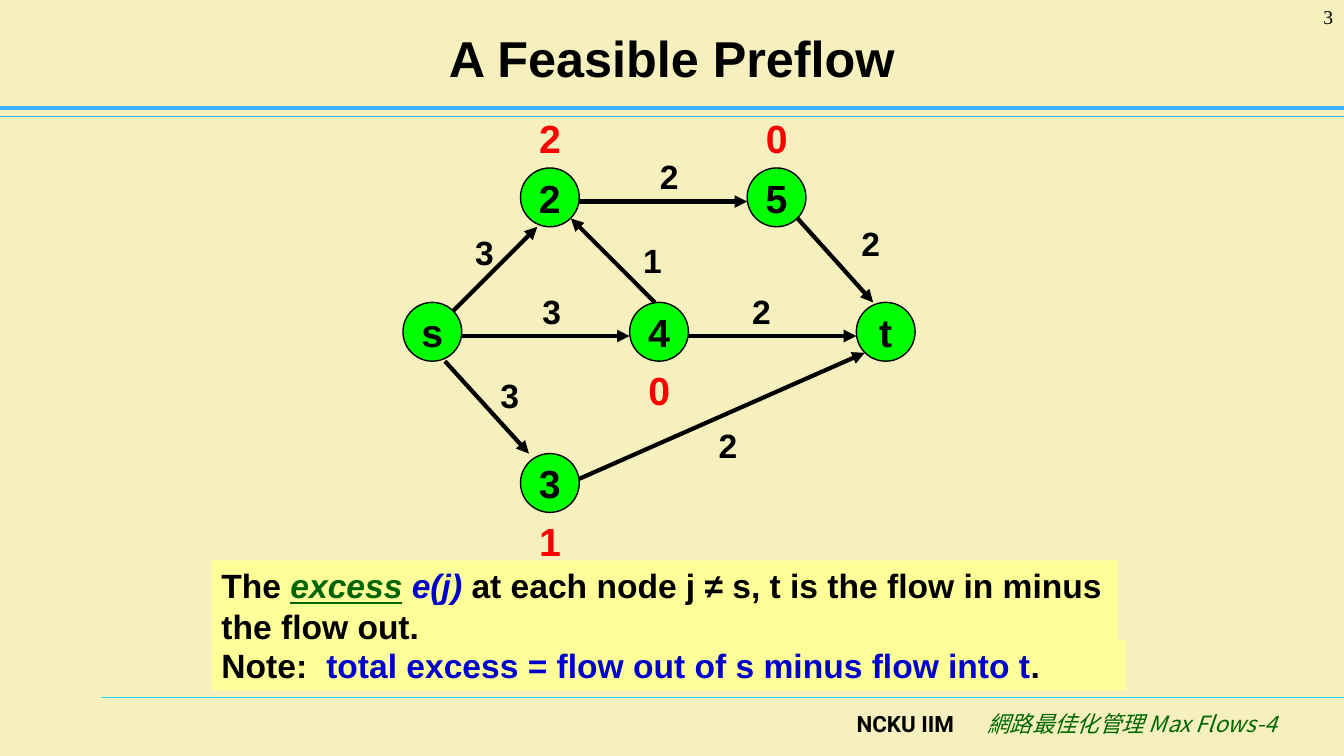
import pptx
import pptx.util
import pptx.dml.color
import pptx.enum.shapes
import pptx.enum.text
import pptx.oxml.ns
from lxml import etree

Inches = pptx.util.Inches
Pt = pptx.util.Pt
RGBColor = pptx.dml.color.RGBColor
PP_ALIGN = pptx.enum.text.PP_ALIGN
MSO_ANCHOR = pptx.enum.text.MSO_ANCHOR
MSO_SHAPE = pptx.enum.shapes.MSO_SHAPE
qn = pptx.oxml.ns.qn

CREAM = RGBColor(0xF5, 0xF0, 0xBD)
YELLOW = RGBColor(0xFF, 0xFF, 0x99)
NODE_GREEN = RGBColor(0x00, 0xFF, 0x00)
DARK_GREEN = RGBColor(0x00, 0x66, 0x00)
BLUE = RGBColor(0x00, 0x00, 0xCC)
RED = RGBColor(0xFF, 0x00, 0x00)
BLACK = RGBColor(0x00, 0x00, 0x00)
SKY = RGBColor(0x3D, 0xB0, 0xFF)
CYAN = RGBColor(0x33, 0xCC, 0xFF)

WIDTH, HEIGHT = 13.34, 7.5
CELL = 1 / 12
NODE_CELLS = 7
LABEL_CELLS = 6

NODES = {"s": (0, 24), "3": (14, 42), "4": (27, 24),
         "2": (14, 8), "5": (41, 8), "t": (54, 24)}
ARCS = [
    ((6, 25), (16, 15), "3", (6, 15)),
    ((5, 31), (15, 42), "3", (9, 32)),
    ((21, 12), (41, 12), "2", (28, 6)),
    ((7, 28), (27, 28), "3", (14, 22)),
    ((30, 24), (20, 14), "1", (26, 16)),
    ((34, 28), (54, 28), "2", (39, 22)),
    ((21, 45), (55, 30), "2", (35, 38)),
    ((47, 14), (56, 24), "2", (52, 14)),
]
EXCESSES = [("2", (14, 1)), ("0", (41, 1)), ("0", (27, 31)), ("1", (14, 49))]


def set_font(font, size, color=BLACK, name="Arial", bold=True):
    font.size, font.name, font.bold = Pt(size), name, bold
    font.color.rgb = color


def add_tab(paragraph, position):
    tabs = etree.SubElement(paragraph._p.get_or_add_pPr(), qn("a:tabLst"))
    etree.SubElement(tabs, qn("a:tab"), pos=str(Inches(position)), algn="l")


def add_run(paragraph, text, color=None, italic=None, underline=None):
    run = paragraph.add_run()
    run.text = text
    run.font.italic, run.font.underline = italic, underline
    if color is not None:
        run.font.color.rgb = color
    return run


def add_text(slide, box, text, size, color=BLACK, name="Arial", bold=True):
    frame = slide.shapes.add_textbox(*map(Inches, box)).text_frame
    frame.word_wrap = True
    paragraph = frame.paragraphs[0]
    paragraph.text = text
    paragraph.alignment = PP_ALIGN.RIGHT
    set_font(paragraph.font, size, color, name, bold)


def add_line(slide, start, end, color, width, arrow=False):
    line = slide.shapes.add_connector(
        pptx.enum.shapes.MSO_CONNECTOR.STRAIGHT, *map(Inches, (*start, *end)))
    line.line.color.rgb = color
    line.line.width = Pt(width)
    if arrow:
        etree.SubElement(line.line._get_or_add_ln(), qn("a:tailEnd"), type="triangle")
    etree.SubElement(line._element.spPr, qn("a:effectLst"))


def add_header(slide, box):
    left, top, width, height = box
    title = slide.shapes.title
    title.left, title.top = Inches(left + 0.05 * width), Inches(top + 0.13)
    title.width, title.height = Inches(0.9 * width), Inches(0.87)
    title.text_frame.vertical_anchor = MSO_ANCHOR.MIDDLE
    heading = title.text_frame.paragraphs[0]
    heading.text = "A Feasible Preflow"
    heading.alignment = PP_ALIGN.CENTER
    set_font(heading.font, 36)
    add_text(slide, (left + width - 1.12, top, 1.11, 0.5), "3", 14,
             name="Times New Roman", bold=False)
    bottom = top + height
    for y, weight in ((bottom - 0.09, 2.5), (bottom, 0.75)):
        add_line(slide, (left, y), (left + width, y), SKY, weight)


def add_footer(slide, box):
    left, top, width, height = box
    add_line(slide, (left, top), (left + width, top), CYAN, 0.75)
    frame = slide.shapes.add_textbox(
        *map(Inches, (left + 0.6 * width, top + 0.08, 0.37 * width, height - 0.08))).text_frame
    frame.word_wrap = True
    paragraph = frame.paragraphs[0]
    add_tab(paragraph, 1.3)
    paragraph.font.size = Pt(16)
    school = add_run(paragraph, "NCKU IIM\t")
    set_font(school.font, 16, name="Roboto")
    course = add_run(paragraph, "網路最佳化管理 Max Flows-4", italic=True)
    set_font(course.font, 16, DARK_GREEN, "Noto Sans CJK SC", False)
    etree.SubElement(course.font._element, qn("a:ea"), typeface="Noto Sans CJK SC")


def add_network(slide, box):
    left, top = box[:2]

    def place(cell):
        return left + cell[0] * CELL, top + cell[1] * CELL

    node_size, label_size = NODE_CELLS * CELL, LABEL_CELLS * CELL
    for name, cell in NODES.items():
        node = slide.shapes.add_shape(
            MSO_SHAPE.OVAL, *map(Inches, (*place(cell), node_size, node_size)))
        node.shadow.inherit = False
        node.fill.solid()
        node.fill.fore_color.rgb = NODE_GREEN
        node.line.color.rgb = BLACK
        node.line.width = Pt(1)
        node.text_frame.word_wrap = False
        node.text_frame.vertical_anchor = MSO_ANCHOR.MIDDLE
        paragraph = node.text_frame.paragraphs[0]
        paragraph.text = name
        paragraph.alignment = PP_ALIGN.CENTER
        set_font(paragraph.font, 28)
    for start, end, flow, label_cell in ARCS:
        add_line(slide, place(start), place(end), BLACK, 3, arrow=True)
        add_text(slide, (*place(label_cell), label_size, label_size), flow, 24)
    for excess, cell in EXCESSES:
        add_text(slide, (*place(cell), label_size, node_size), excess, 28, RED)


def add_note(slide, box, runs, tab=None):
    note = slide.shapes.add_shape(MSO_SHAPE.RECTANGLE, *map(Inches, box))
    note.shadow.inherit = False
    note.fill.solid()
    note.fill.fore_color.rgb = YELLOW
    note.line.fill.background()
    note.text_frame.word_wrap = True
    note.text_frame.vertical_anchor = MSO_ANCHOR.TOP
    paragraph = note.text_frame.paragraphs[0]
    paragraph.alignment = PP_ALIGN.LEFT
    if tab:
        add_tab(paragraph, tab)
    set_font(paragraph.font, 24)
    for text, color, italic, underline in runs:
        run = add_run(paragraph, text, color, italic, underline)
        set_font(run.font, 24, color)


def main():
    deck = pptx.Presentation()
    deck.slide_width, deck.slide_height = Inches(WIDTH), Inches(HEIGHT)
    slide = deck.slides.add_slide(deck.slide_layouts[5])
    slide.background.fill.solid()
    slide.background.fill.fore_color.rgb = CREAM
    add_footer(slide, (1, 6.92, WIDTH - 1, 0.58))
    add_header(slide, (0, 0, WIDTH, 1.16))
    add_note(slide, (2.1, 5.56, 9, 0.9), [
        ("The ", BLACK, False, False),
        ("excess", DARK_GREEN, True, True),
        (" ", BLACK, False, False),
        ("e(j)", BLUE, True, False),
        (" at each node j ≠ s, t is the flow in minus the flow out.", BLACK, False, False),
    ])
    add_network(slide, (4, 1))
    add_note(slide, (2.1, 6.35, 9.08, 0.5), [
        ("Note:\t", BLACK, False, False),
        ("total excess = flow out of s minus flow into t", BLUE, False, False),
        (".", BLACK, False, False),
    ], tab=1.04)
    deck.save("out.pptx")


if __name__ == "__main__":
    main()
